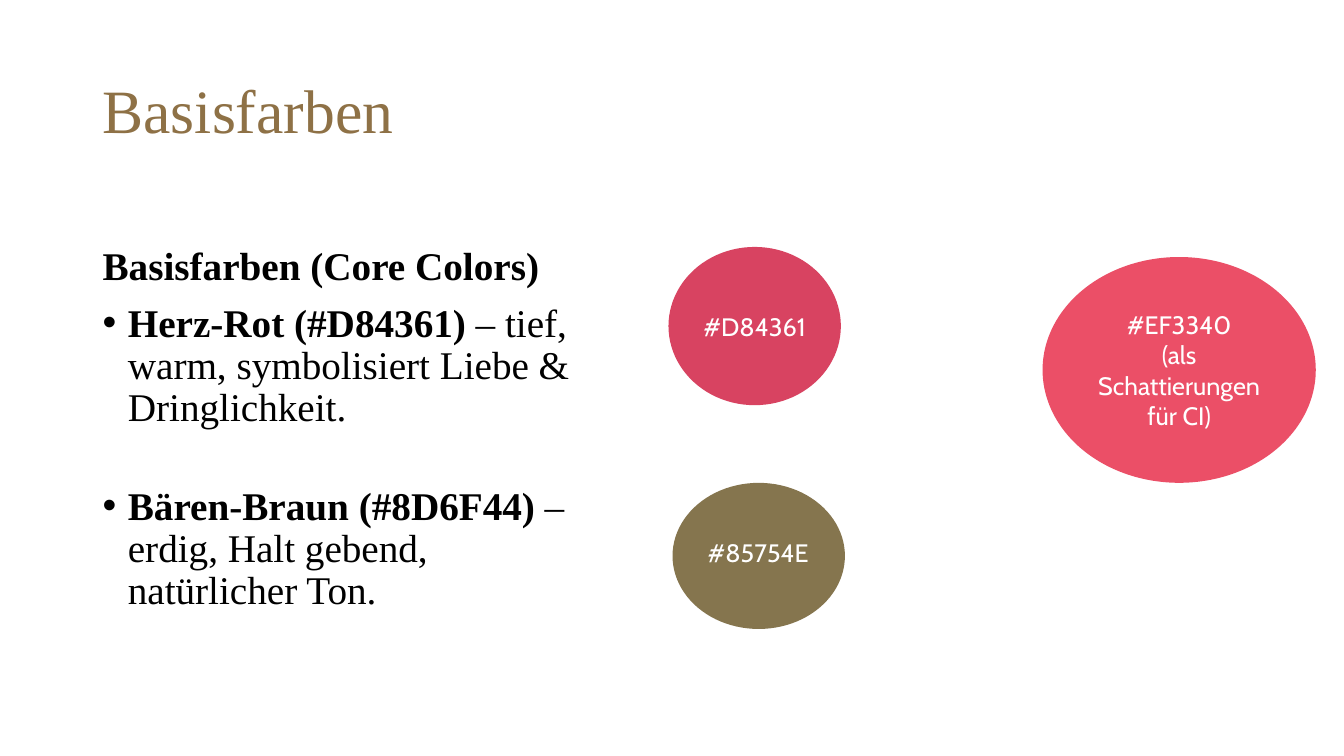
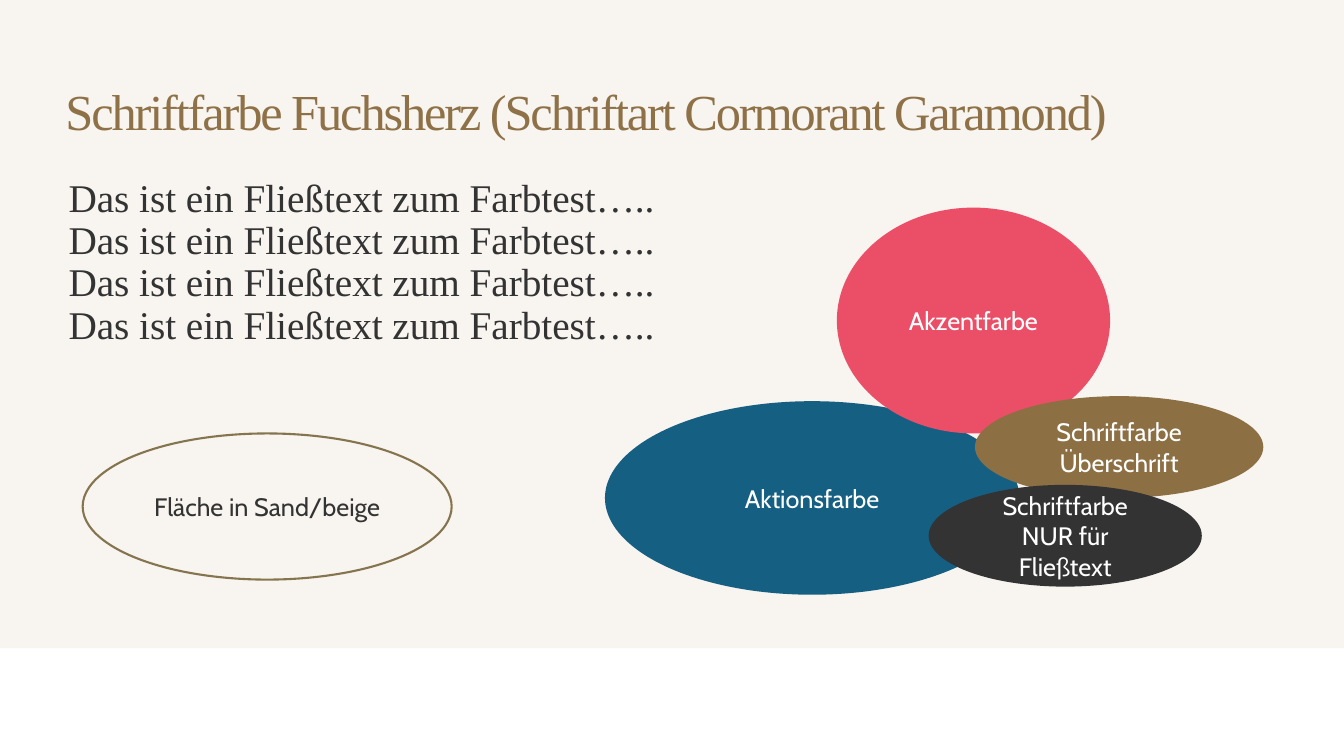
from pptx import Presentation
from pptx.dml.color import RGBColor
from pptx.enum.shapes import MSO_SHAPE as SHAPE
from pptx.enum.text import MSO_ANCHOR as ANCHOR, PP_ALIGN as ALIGN
from pptx.util import Inches, Pt
from lxml.etree import SubElement
from pptx.oxml.ns import qn

COLORS = {
    "title": "8E7146", "black": "000000", "white": "FFFFFF", "text": "333333",
    "sand": "F8F4F0", "heart": "D84361", "accent": "EB4F67",
    "olive": "85754E", "brown": "8D6F44", "action": "156082",
}
SERIF, SANS = "Times New Roman", "Cabin"
TITLE = {"name": SERIF, "size": Pt(44), "color": "title"}
BODY = {"name": SERIF, "size": Pt(28), "color": "black"}
LABEL = {"name": SANS, "size": Pt(18), "color": "white"}


def write(paragraph, text, style, **changes):
    first_new = len(paragraph.runs)
    for index, line in enumerate(text.split("\n")):
        if index:
            paragraph.add_line_break()
        paragraph.add_run().text = line
    for run in paragraph.runs[first_new:]:
        for key, value in {**style, **changes}.items():
            if key == "color":
                run.font.color.rgb = RGBColor.from_string(COLORS[value])
            else:
                setattr(run.font, key, value)


def add_block(slide, box, fill=None, outline=None, geometry=SHAPE.OVAL, anchor=ANCHOR.MIDDLE):
    place = [Inches(length) for length in box]
    if fill:
        block = slide.shapes.add_shape(geometry, *place)
        block.shadow.inherit = False
        block.fill.solid()
        block.fill.fore_color.rgb = RGBColor.from_string(COLORS[fill])
        if outline:
            block.line.color.rgb = RGBColor.from_string(COLORS[outline])
            block.line.width = Pt(1.5)
        else:
            block.line.fill.background()
    else:
        block = slide.shapes.add_textbox(*place)
    frame = block.text_frame
    frame.word_wrap = True
    frame.vertical_anchor = anchor
    return frame


deck = Presentation()
deck.slide_width, deck.slide_height = Inches(13.33), Inches(7.5)
base_slide, sample_slide = [deck.slides.add_slide(deck.slide_layouts[6]) for _ in range(2)]

sand_area = add_block(sample_slide, (0, 0, 13.33, 6.43), "sand", geometry=SHAPE.RECTANGLE, anchor=ANCHOR.TOP)
sand_area.margin_left, sand_area.margin_top = Inches(0.68), Inches(1.77)
sample = sand_area.paragraphs[0]
sample.alignment = ALIGN.LEFT
sample.line_spacing = 0.9
write(sample, "\n".join(["Das ist ein Fließtext zum Farbtest….."] * 4), BODY, color="text")

titles = [
    (base_slide, (0.92, 0.4, 11.5, 1.45), "Basisfarben", {}, 0),
    (sample_slide, (0.55, 0.41, 11.5, 1.45),
     "Schriftfarbe Fuchsherz (Schriftart Cormorant Garamond)", {"size": Pt(36)}, -150),
]
for slide, box, text, changes, tracking in titles:
    heading = add_block(slide, box).paragraphs[0]
    heading.line_spacing = 0.9
    write(heading, text, TITLE, **changes)
    if tracking:
        heading.runs[0].font._element.set("spc", str(tracking))

core_colors = add_block(base_slide, (0.92, 2.4, 5.17, 4.1), anchor=ANCHOR.TOP)
entries = [
    ("Basisfarben (Core Colors)", "", 0),
    ("Herz-Rot (#D84361)", " – tief, warm, symbolisiert Liebe & Dringlichkeit.", 10),
    ("Bären-Braun (#8D6F44)", " – erdig, Halt gebend, natürlicher Ton.", 40),
]
for index, (term, description, gap) in enumerate(entries):
    entry = core_colors.add_paragraph() if index else core_colors.paragraphs[0]
    entry.line_spacing = 0.9
    entry.space_before = Pt(gap)
    write(entry, term, BODY, bold=True)
    if description:
        write(entry, description, BODY)
        properties = entry._p.get_or_add_pPr()
        properties.set("marL", str(Inches(0.25)))
        properties.set("indent", str(Inches(-0.25)))
        SubElement(properties, qn("a:buFont"), typeface="Arial")
        SubElement(properties, qn("a:buChar"), char="•")

swatches = [
    (base_slide, (6.67, 4.79, 1.71, 1.45), "olive", None, "", "white"),
    (base_slide, (6.9, 5.28, 1.24, 0.4), None, None, "#85754E", "white"),
    (base_slide, (10.34, 2.55, 2.71, 2.24), "accent", None, "#EF3340\n(als Schattierungen für CI)", "white"),
    (base_slide, (6.63, 2.45, 1.71, 1.57), "heart", None, "#D84361", "white"),
    (sample_slide, (6, 3.98, 4.11, 1.92), "action", None, "Aktionsfarbe", "white"),
    (sample_slide, (8.3, 2.06, 2.71, 2.24), "accent", None, "Akzentfarbe", "white"),
    (sample_slide, (9.67, 3.93, 2.86, 1.01), "brown", None, "Schriftfarbe Überschrift", "white"),
    (sample_slide, (9.21, 4.81, 2.71, 1.01), "text", None, "Schriftfarbe NUR für Fließtext", "white"),
    (sample_slide, (0.82, 4.3, 3.66, 1.45), "sand", "olive", "Fläche in Sand/beige", "text"),
]
for slide, box, fill, outline, text, color in swatches:
    swatch = add_block(slide, box, fill, outline)
    swatch.word_wrap = " " in text
    label = swatch.paragraphs[0]
    label.alignment = ALIGN.CENTER
    if text:
        write(label, text, LABEL, color=color)

deck.save("out.pptx")
